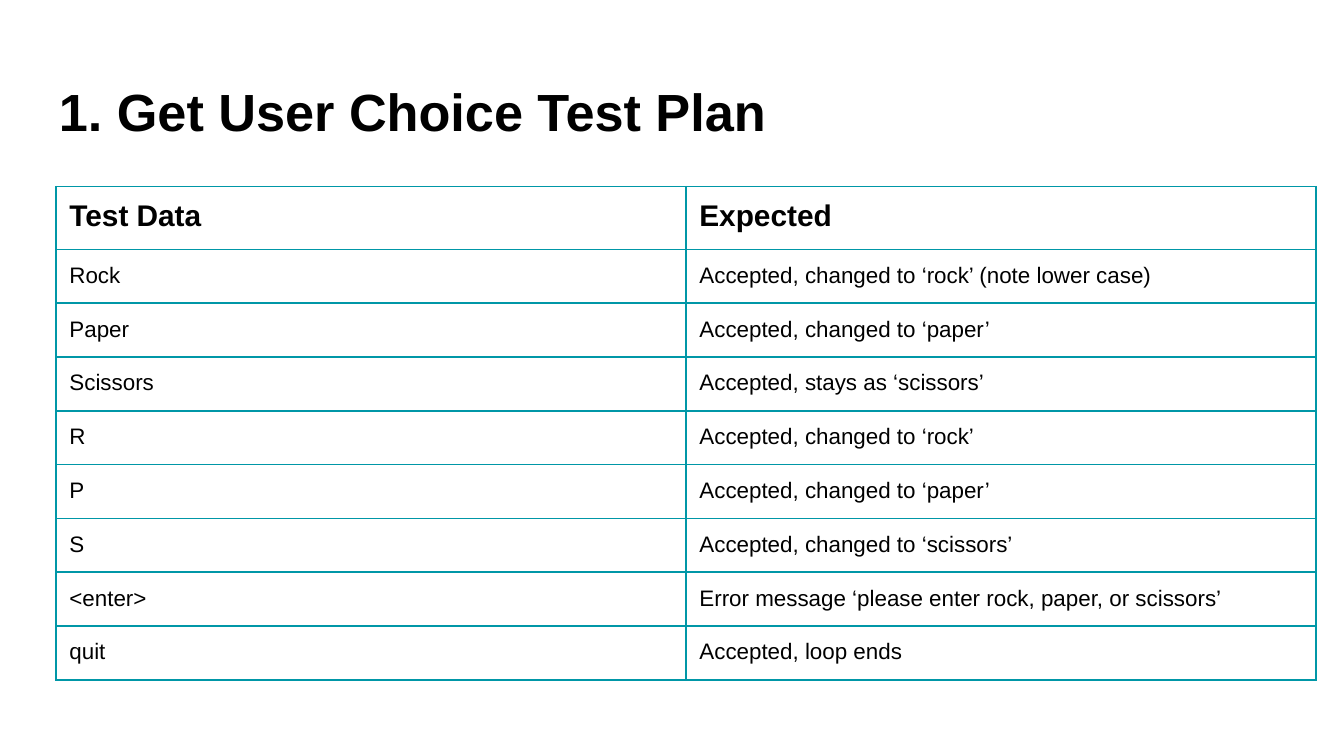
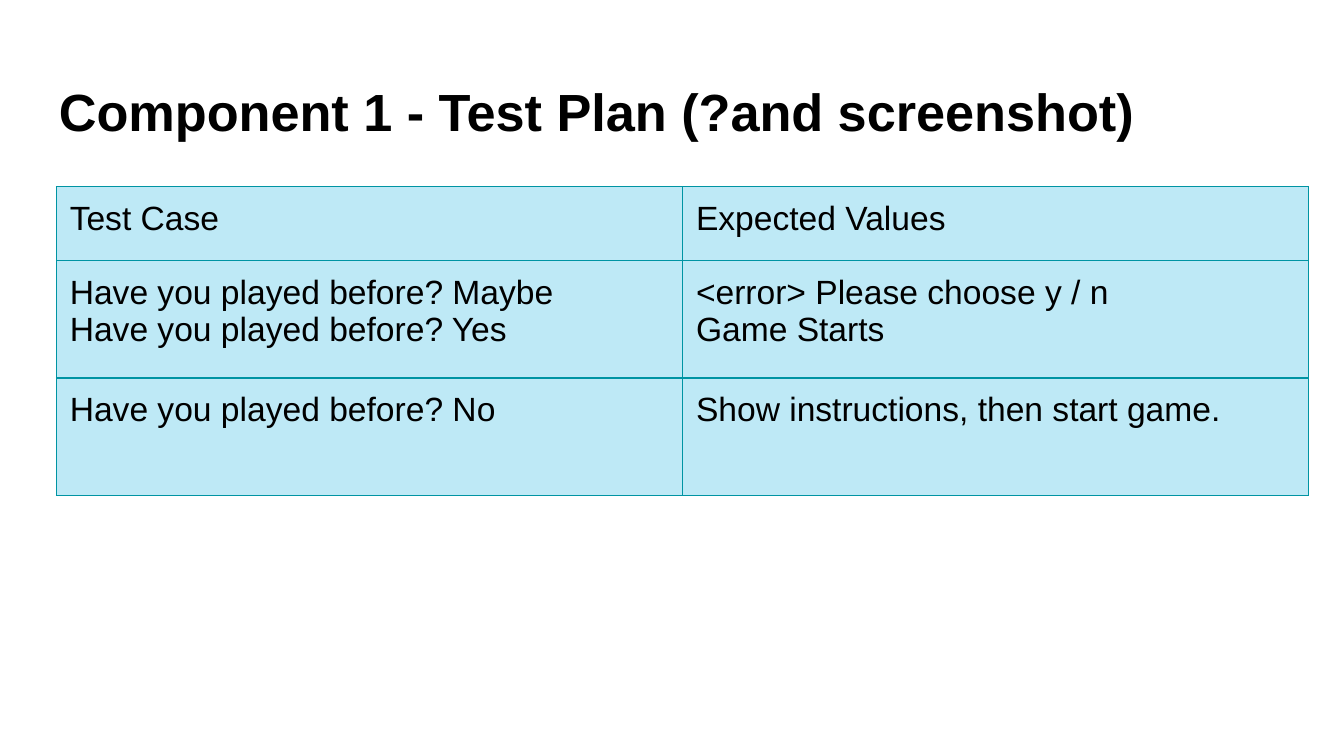
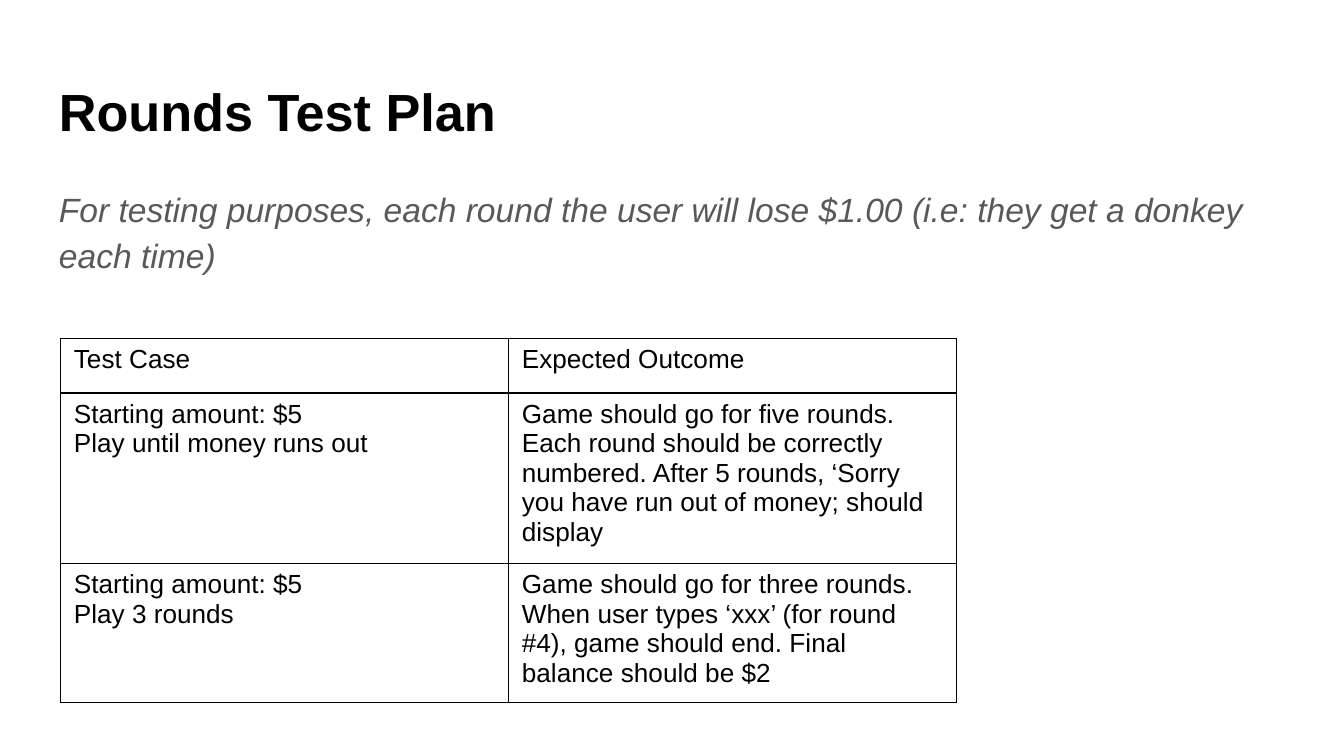
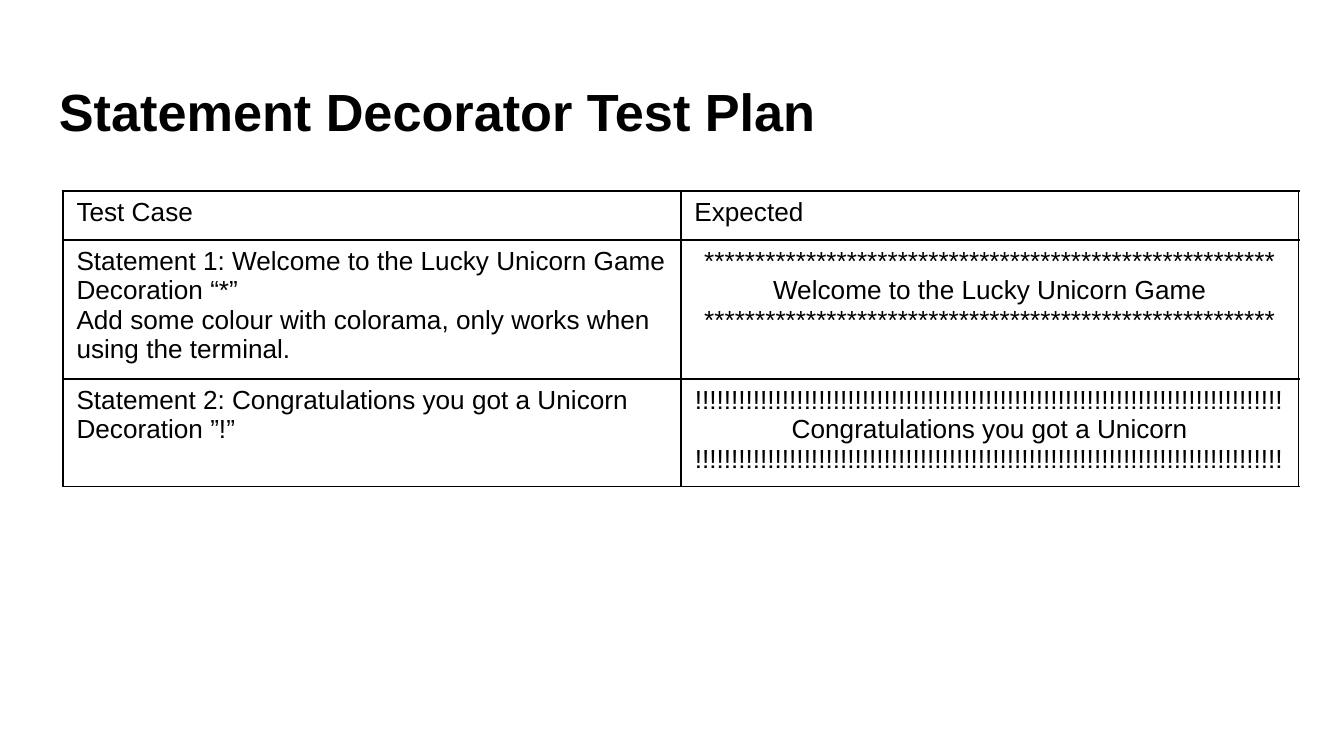
from itertools import product

from lxml.etree import SubElement
from pptx import Presentation
from pptx.dml.color import RGBColor
from pptx.enum.text import PP_ALIGN
from pptx.oxml.ns import qn
from pptx.util import Pt

BLACK = RGBColor(0x00, 0x00, 0x00)
GREY = RGBColor(0x59, 0x59, 0x59)
TEAL = RGBColor(0x00, 0x97, 0xA7)
DEEP_TEAL = RGBColor(0x00, 0x94, 0xA3)
PALE_BLUE = RGBColor(0xBE, 0xE9, 0xF6)
FONT = "Arial"
INSET = Pt(7.2)
TITLE_BOX = (Pt(24.5), Pt(35.3), Pt(671), Pt(45.4))
NOTE_BOX = (Pt(24.5), Pt(90.7), Pt(671), Pt(269.3))

CHOICE_ROWS = [
    ("Test Data", "Expected"),
    ("Rock", "Accepted, changed to ‘rock’ (note lower case)"),
    ("Paper", "Accepted, changed to ‘paper’"),
    ("Scissors", "Accepted, stays as ‘scissors’"),
    ("R", "Accepted, changed to ‘rock’"),
    ("P", "Accepted, changed to ‘paper’"),
    ("S", "Accepted, changed to ‘scissors’"),
    ("<enter>", "Error message ‘please enter rock, paper, or scissors’"),
    ("quit", "Accepted, loop ends"),
]
COMPONENT_ROWS = [
    ("Test Case", "Expected Values"),
    ("Have you played before? Maybe\nHave you played before? Yes",
     "<error> Please choose y / n\nGame Starts"),
    ("Have you played before? No", "Show instructions, then start game."),
]
ROUNDS_NOTE = ("For testing purposes, each round the user will lose $1.00 "
               "(i.e: they get a donkey each time)")
ROUNDS_ROWS = [
    ("Test Case", "Expected Outcome"),
    ("Starting amount: $5\nPlay until money runs out",
     "Game should go for five rounds. Each round should be correctly numbered. "
     "After 5 rounds, ‘Sorry you have run out of money; should display"),
    ("Starting amount: $5\nPlay 3 rounds",
     "Game should go for three rounds. When user types ‘xxx’ (for round #4), "
     "game should end. Final balance should be $2"),
]
STARS = "*" * 56
BANGS = "!" * 81
DECORATOR_ROWS = [
    ("Test Case", "Expected"),
    ("Statement 1: Welcome to the Lucky Unicorn Game\nDecoration “*”\n"
     "Add some colour with colorama, only works when using the terminal.",
     f"{STARS}\nWelcome to the Lucky Unicorn Game\n{STARS}"),
    ("Statement 2: Congratulations you got a Unicorn Decoration ”!”",
     f"{BANGS}\nCongratulations you got a Unicorn\n{BANGS}"),
]


def write_text(frame, text, *, size, color=BLACK, bold=False, italic=False,
               align=PP_ALIGN.LEFT, line_spacing=None, space_after=None):
    """Fill a text frame with one paragraph for each line of text."""
    frame.word_wrap = True
    for index, line in enumerate(text.split("\n")):
        paragraph = frame.add_paragraph() if index else frame.paragraphs[0]
        paragraph.alignment = align
        paragraph.line_spacing = line_spacing
        paragraph.space_after = space_after
        run = paragraph.add_run()
        run.text = line
        run.font.name = FONT
        run.font.size = Pt(size)
        run.font.bold = bold
        run.font.italic = italic
        run.font.color.rgb = color


def add_text(slide, box, text, **text_format):
    """Place a text box with even insets in the given box."""
    frame = slide.shapes.add_textbox(*box).text_frame
    frame.margin_left = frame.margin_right = INSET
    frame.margin_top = frame.margin_bottom = INSET
    write_text(frame, text, **text_format)


def set_borders(cell, color, width):
    """Draw a solid line on all four sides of a cell."""
    properties = cell._tc.get_or_add_tcPr()
    for position, side in enumerate(("a:lnL", "a:lnR", "a:lnT", "a:lnB")):
        line = SubElement(properties, qn(side), w=str(Pt(width)))
        properties.remove(line)
        properties.insert(position, line)
        fill = SubElement(line, qn("a:solidFill"))
        SubElement(fill, qn("a:srgbClr"), val=str(color))


def add_plan_table(slide, left, top, width, rows, heights, *, size,
                   border=BLACK, border_width=1, fill=None, inset=Pt(3.6),
                   header_format=None, centered_results=False):
    """Place a table of test cases and expected results, with equal columns."""
    shape = slide.shapes.add_table(len(rows), 2, Pt(left), Pt(top), Pt(width),
                                   Pt(sum(heights)))
    table = shape.table
    table.first_row = table.horz_banding = False
    for row, height in zip(table.rows, heights):
        row.height = Pt(height)
    for row, column in product(range(len(rows)), range(2)):
        cell = table.cell(row, column)
        cell.margin_left = cell.margin_right = INSET
        cell.margin_top = cell.margin_bottom = inset
        if fill is None:
            cell.fill.background()
        else:
            cell.fill.solid()
            cell.fill.fore_color.rgb = fill
        set_borders(cell, border, border_width)
        text_format = {"size": size}
        if row == 0:
            text_format.update(header_format or {})
        elif column == 1 and centered_results:
            text_format["align"] = PP_ALIGN.CENTER
        write_text(cell.text_frame, rows[row][column], **text_format)


def add_plan_slide(presentation, title):
    """Add a white slide with the shared title style."""
    slide = presentation.slides.add_slide(presentation.slide_layouts[6])
    add_text(slide, TITLE_BOX, title, size=28, bold=True)
    return slide


def main():
    """Build the four test plan slides."""
    presentation = Presentation()
    presentation.slide_width = Pt(720)
    presentation.slide_height = Pt(405)

    slide = add_plan_slide(presentation, "1. Get User Choice Test Plan")
    add_plan_table(slide, 30, 100, 675, CHOICE_ROWS, [32] + [28.25] * 8,
                   size=12, border=TEAL, inset=INSET,
                   header_format={"size": 16, "bold": True})

    slide = add_plan_slide(presentation,
                           "Component 1 - Test Plan (?and screenshot)")
    add_plan_table(slide, 30.2, 100, 671, COMPONENT_ROWS, [39.5, 63, 63],
                   size=18, border=DEEP_TEAL, border_width=0.75,
                   fill=PALE_BLUE, inset=INSET)

    slide = add_plan_slide(presentation, "Rounds Test Plan")
    add_text(slide, NOTE_BOX, ROUNDS_NOTE, size=18, color=GREY, italic=True,
             line_spacing=1.15, space_after=Pt(16))
    add_plan_table(slide, 32.4, 181.3, 480, ROUNDS_ROWS, [29.3, 85.8, 70],
                   size=14)

    slide = add_plan_slide(presentation, "Statement Decorator Test Plan")
    add_plan_table(slide, 33.8, 102.4, 662, DECORATOR_ROWS, [26.2, 70, 54],
                   size=14, centered_results=True)

    presentation.save("out.pptx")


main()
